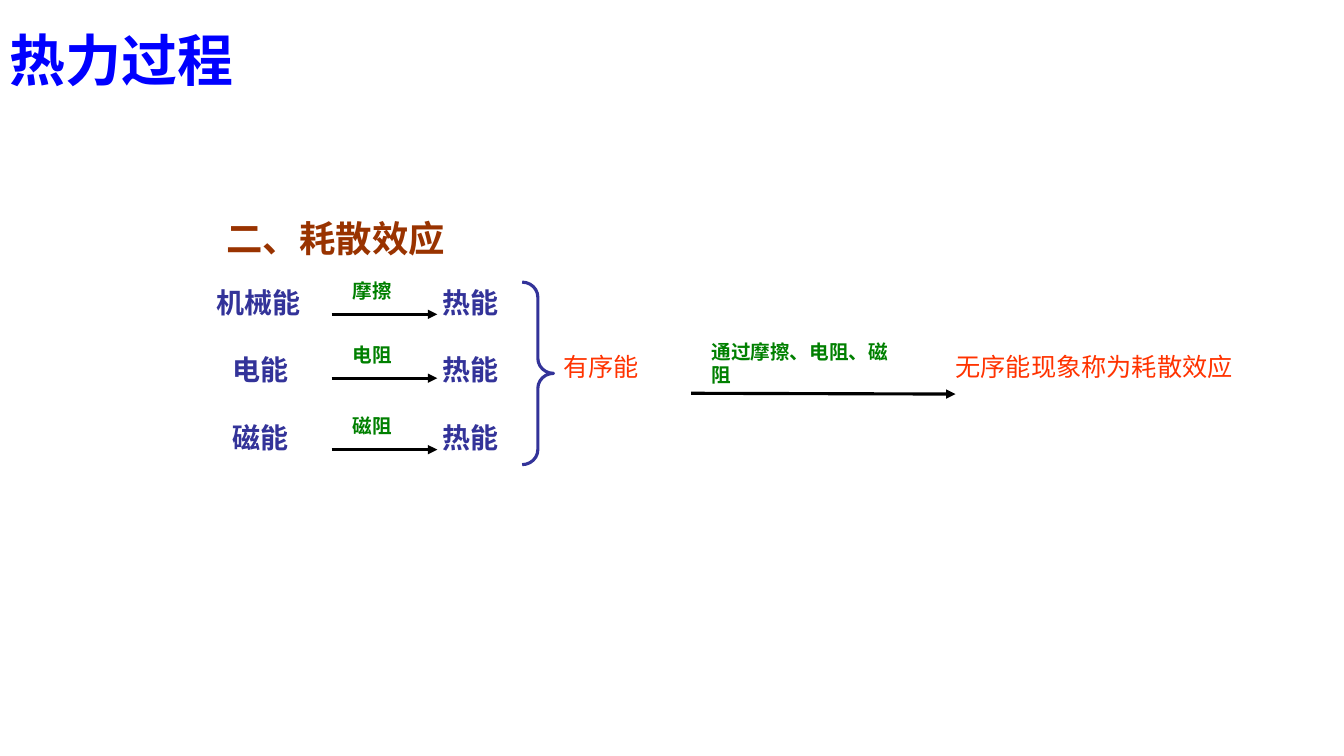
from pptx import Presentation
from pptx.dml.color import RGBColor
from pptx.enum.lang import MSO_LANGUAGE_ID
from pptx.enum.shapes import MSO_CONNECTOR, MSO_SHAPE
from pptx.oxml.ns import qn
from pptx.util import Cm, Pt
from lxml import etree

STRAIGHT = MSO_CONNECTOR.STRAIGHT
RIGHT_BRACE = MSO_SHAPE.RIGHT_BRACE
CHINESE = MSO_LANGUAGE_ID.SIMPLIFIED_CHINESE

BLUE = "0000FF"
BROWN = "993300"
INDIGO = "333399"
GREEN = "008000"
RED = "FF3300"
BLACK = "000000"

# Source energy, its left edge, cause of the loss, arrow height (cm)
CONVERSIONS = [
    ("机械能", 5.21, "摩擦", 7.92),
    ("电能", 5.61, "电阻", 9.53),
    ("磁能", 5.61, "磁阻", 11.33),
]
ROW_TOP, ROW_PITCH = 7.08, 1.69
LABEL_RISE = 1.02


def color(hex_text):
    return RGBColor.from_string(hex_text)


def add_text(page, text, *, left, top, width, height, size, fill, bold=True, font="Arial"):
    box = page.shapes.add_textbox(Cm(left), Cm(top), Cm(width), Cm(height))
    box.text_frame.word_wrap = True
    span = box.text_frame.paragraphs[0].add_run()
    span.text = text
    span.font.name = font
    span.font.language_id = CHINESE
    span.font.size = Pt(size)
    span.font.bold = bold
    span.font.color.rgb = color(fill)


def add_energy(page, text, left, top):
    add_text(page, text, left=left, top=top, width=3.2, height=1.09, size=20, fill=INDIGO)


def add_cause(page, text, left, top, width):
    add_text(page, text, left=left, top=top, width=width, height=0.84, size=14, fill=GREEN)


def add_order(page, text, left, width):
    add_text(page, text, left=left, top=8.74, width=width, height=1.02,
             size=18, fill=RED, bold=False)


def style_line(line, fill):
    line.color.rgb = color(fill)
    line.width = Pt(2.25)


def add_arrow(page, start_x, start_y, end_x, end_y):
    arrow = page.shapes.add_connector(STRAIGHT, Cm(start_x), Cm(start_y), Cm(end_x), Cm(end_y))
    style_line(arrow.line, BLACK)
    etree.SubElement(arrow.line._get_or_add_ln(), qn("a:tailEnd"), type="triangle")
    etree.SubElement(arrow._element.spPr, qn("a:effectLst"))


def add_brace(page, left, top, width, height):
    brace = page.shapes.add_shape(RIGHT_BRACE, Cm(left), Cm(top), Cm(width), Cm(height))
    brace.shadow.inherit = False
    brace.fill.background()
    brace.adjustments[0] = 0.48
    style_line(brace.line, INDIGO)


def main():
    deck = Presentation()
    deck.slide_width, deck.slide_height = Cm(33.87), Cm(19.05)
    page = deck.slides.add_slide(deck.slide_layouts[6])

    # Headings
    add_text(page, "热力过程", left=0, top=0.53, width=20.55, height=1.96,
             size=40, fill=BLUE, font="Noto Sans CJK SC")
    add_text(page, "二、耗散效应", left=5.46, top=5.33, width=9.07, height=1.35,
             size=26, fill=BROWN)

    # Conversions into heat
    for row, (energy, left, cause, arrow_y) in enumerate(CONVERSIONS):
        top = ROW_TOP + row * ROW_PITCH
        add_energy(page, energy, left, top)
        add_energy(page, "热能", 10.9, top)
        add_arrow(page, 8.36, arrow_y, 11.02, arrow_y)
        add_cause(page, cause, 8.64, arrow_y - LABEL_RISE, 2.01)

    # Summary: ordered energy becomes disordered energy
    add_brace(page, 13.16, 7.11, 0.79, 4.6)
    add_order(page, "有序能", 13.94, 3.23)
    add_cause(page, "通过摩擦、电阻、磁阻", 17.68, 8.43, 5.4)
    add_arrow(page, 17.42, 9.91, 24.08, 9.93)
    add_order(page, "无序能现象称为耗散效应", 23.83, 10.01)

    deck.save("out.pptx")


if __name__ == "__main__":
    main()
